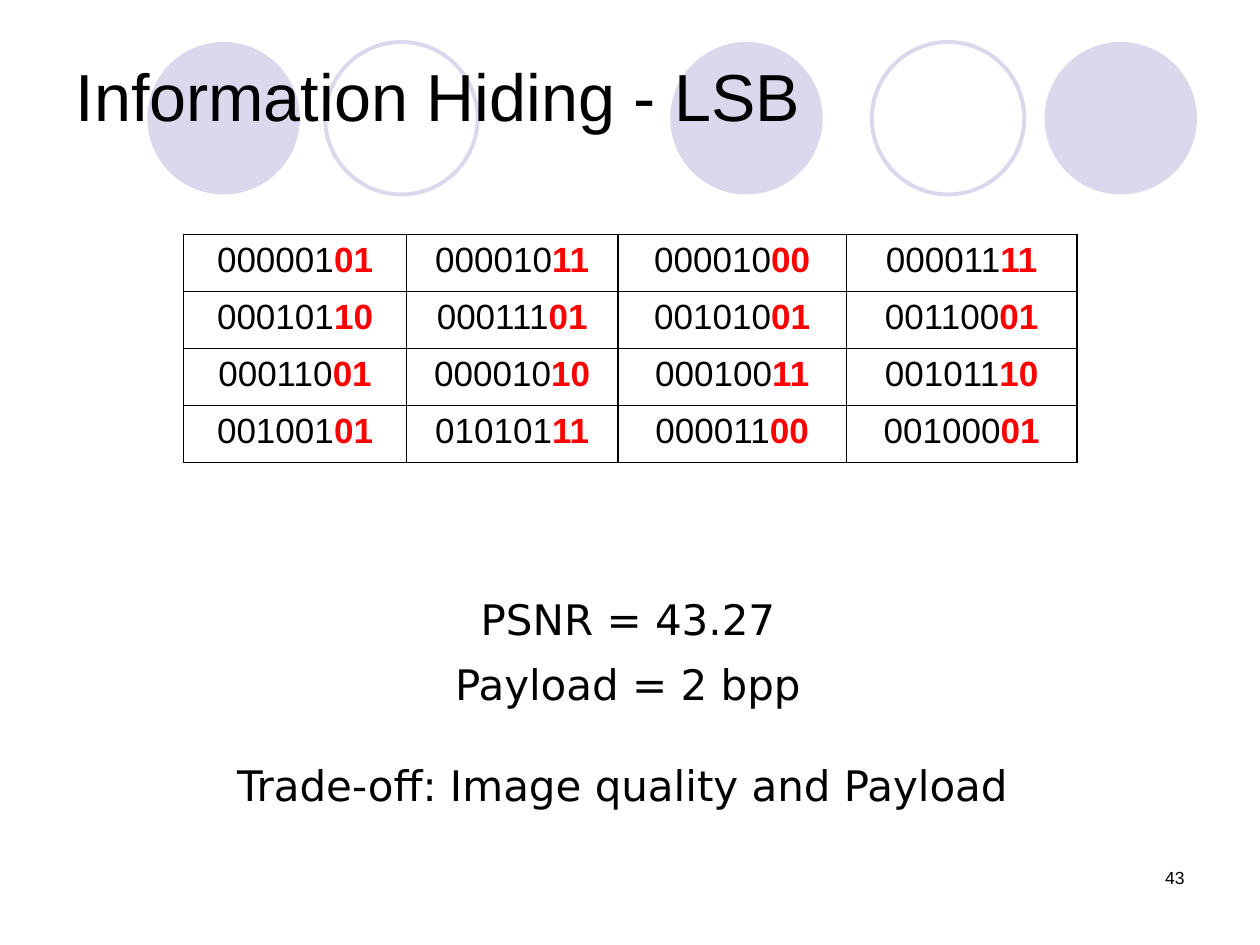
"""Build the LSB information hiding slide."""
from lxml.etree import SubElement
from pptx import Presentation
from pptx.dml.color import RGBColor
from pptx.enum.shapes import MSO_SHAPE as SHAPE
from pptx.enum.text import MSO_ANCHOR as ANCHOR, MSO_AUTO_SIZE as AUTO, PP_ALIGN as ALIGN
from pptx.oxml.ns import qn
from pptx.util import Pt

COLORS = {"text": "000000", "hidden": "FF0000", "circle": "D9D8EC", "border": "000000"}
TITLE = "Information Hiding - LSB"
CIRCLES = [(84.2, True), (185.8, False), (383, True), (498.2, False), (596.9, True)]
CIRCLE_TOP, CIRCLE_SIZE = 24, 87.1
PIXELS = [
    ["00000101", "00001011", "00001000", "00001111"],
    ["00010110", "00011101", "00101001", "00110001"],
    ["00011001", "00001010", "00010011", "00101110"],
    ["00100101", "01010111", "00001100", "00100001"],
]
HIDDEN_BITS = 2
TABLE_LEFT, TABLE_TOP, ROW_HEIGHT = 105, 134, 32.6
COL_WIDTHS = [127.2, 121, 130.5, 131.8]
NOTES = [
    (["PSNR = 43.27", "Payload = 2 bpp"], (252, 326.9, 213.8, 82), 1.3),
    (["Trade-off: Image quality and Payload "], (121.7, 413.3, 475.9, 53.3), 1.6),
]
NUMBER = "43"


def rgb(name):
    return RGBColor.from_string(COLORS[name])


def write(p, text, size=20, font="Arial", color="text", bold=False, align=ALIGN.CENTER, spacing=None):
    p.alignment = align
    if spacing:
        p.line_spacing = spacing
    r = p.add_run()
    r.text = text
    r.font.size, r.font.name, r.font.bold = Pt(size), font, bold
    r.font.color.rgb = rgb(color)


def add_circle(s, left, filled):
    sp = s.shapes.add_shape(SHAPE.OVAL, Pt(left), Pt(CIRCLE_TOP), Pt(CIRCLE_SIZE), Pt(CIRCLE_SIZE))
    sp.shadow.inherit = False
    if filled:
        sp.fill.solid()
        sp.fill.fore_color.rgb = rgb("circle")
        sp.line.fill.background()
    else:
        sp.fill.background()
        sp.line.color.rgb = rgb("circle")
        sp.line.width = Pt(2.25)


def add_title(s):
    sp = s.shapes.title
    sp.left, sp.top, sp.width, sp.height = Pt(36), Pt(21.6), Pt(648), Pt(64.8)
    tf = sp.text_frame
    tf.auto_size, tf.vertical_anchor = AUTO.NONE, ANCHOR.MIDDLE
    write(tf.paragraphs[0], TITLE, size=38, align=ALIGN.LEFT)
    sp.element.getparent().append(sp.element)


def add_borders(cell):
    props = cell.fill._xPr
    for i, side in enumerate(("lnL", "lnR", "lnT", "lnB")):
        ln = SubElement(props, qn(f"a:{side}"), w=str(Pt(1)))
        SubElement(SubElement(ln, qn("a:solidFill")), qn("a:srgbClr"), val=COLORS["border"])
        props.insert(i, ln)


def add_pixels(s):
    rows, cols = len(PIXELS), len(COL_WIDTHS)
    frame = s.shapes.add_table(rows, cols, Pt(TABLE_LEFT), Pt(TABLE_TOP),
                               Pt(sum(COL_WIDTHS)), Pt(rows * ROW_HEIGHT))
    table = frame.table
    table.first_row = table.horz_banding = False
    for col, width in zip(table.columns, COL_WIDTHS):
        col.width = Pt(width)
    for row, values in zip(table.rows, PIXELS):
        row.height = Pt(ROW_HEIGHT)
        for cell, bits in zip(row.cells, values):
            cell.fill.background()
            add_borders(cell)
            p = cell.text_frame.paragraphs[0]
            write(p, bits[:-HIDDEN_BITS])
            write(p, bits[-HIDDEN_BITS:], color="hidden", bold=True)


def add_text(s, lines, box, wrap=False, **fmt):
    tf = s.shapes.add_textbox(*map(Pt, box)).text_frame
    tf.word_wrap = wrap
    tf.auto_size = AUTO.NONE if wrap else AUTO.SHAPE_TO_FIT_TEXT
    for i, line in enumerate(lines):
        write(tf.add_paragraph() if i else tf.paragraphs[0], line, **fmt)


def main():
    prs = Presentation()
    prs.slide_width, prs.slide_height = Pt(720), Pt(540)
    s = prs.slides.add_slide(prs.slide_layouts[5])
    for left, filled in CIRCLES:
        add_circle(s, left, filled)
    add_title(s)
    add_pixels(s)
    for lines, box, spacing in NOTES:
        add_text(s, lines, box, size=24, font="DejaVu Sans", spacing=spacing)
    add_text(s, [NUMBER], (516, 492, 168, 36), wrap=True, size=10, align=ALIGN.RIGHT)
    prs.save("out.pptx")


if __name__ == "__main__":
    main()
